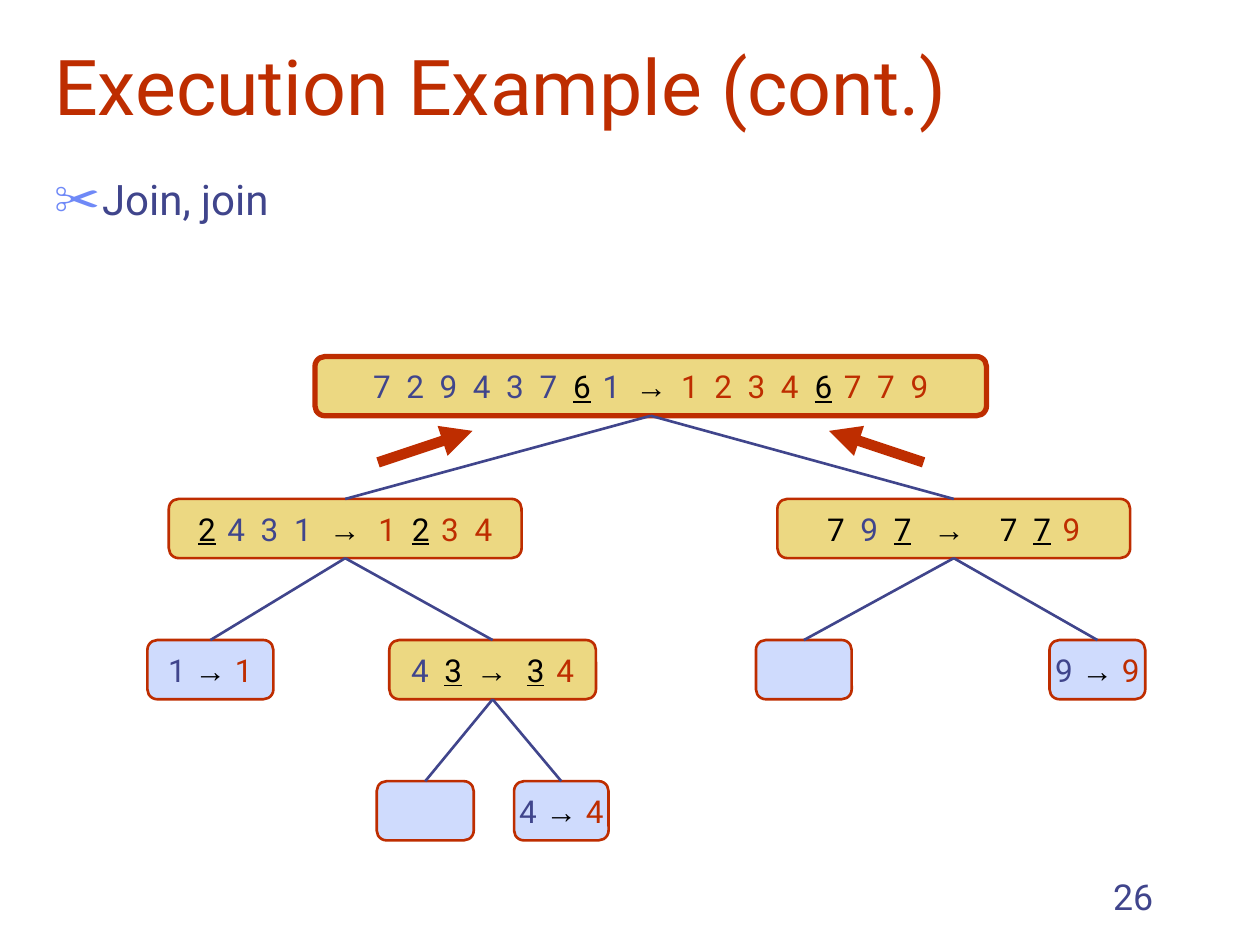
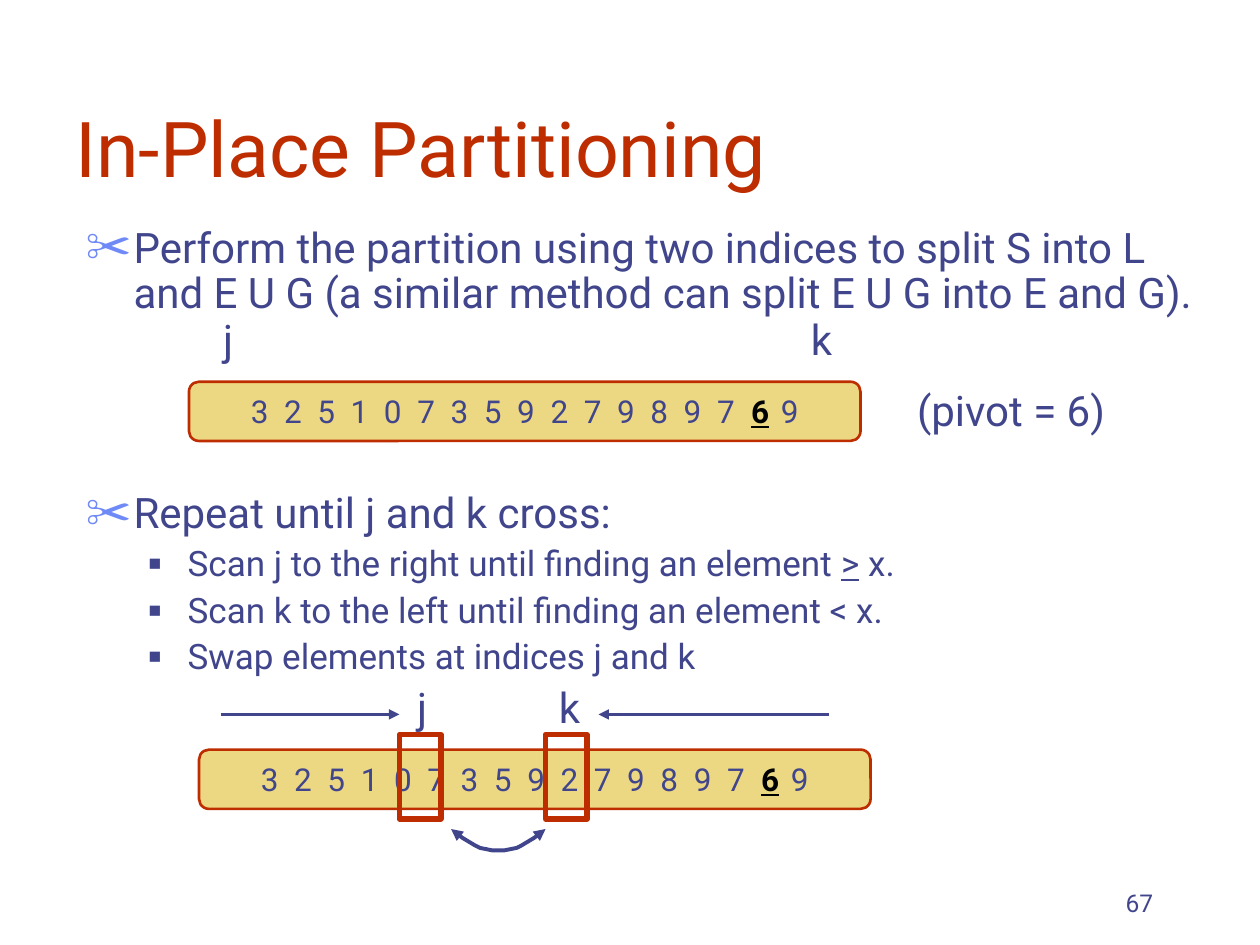
from dataclasses import dataclass

from lxml import etree
from pptx import Presentation
from pptx.dml.color import RGBColor
from pptx.enum.shapes import MSO_CONNECTOR, MSO_SHAPE
from pptx.enum.text import MSO_ANCHOR, MSO_AUTO_SIZE, PP_ALIGN
from pptx.oxml.ns import qn
from pptx.util import Pt

LINE = MSO_CONNECTOR.STRAIGHT
ROUND, RECT = MSO_SHAPE.ROUNDED_RECTANGLE, MSO_SHAPE.RECTANGLE
BOTTOM, MIDDLE = MSO_ANCHOR.BOTTOM, MSO_ANCHOR.MIDDLE
LEFT, CENTER, RIGHT = PP_ALIGN.LEFT, PP_ALIGN.CENTER, PP_ALIGN.RIGHT
FIXED = MSO_AUTO_SIZE.NONE
SCALE = 9144
TOP_SIDE, LOW_SIDE = 0, 2


@dataclass(frozen=True)
class Theme:
    font: str = "Roboto"
    symbol: str = "Arial"
    red: str = "BE2D00"
    ink: str = "40458C"
    black: str = "000000"
    gold: str = "ECD882"
    pale: str = "CFDBFD"
    mark: str = "6F89F7"
    title: float = 44
    body: float = 24
    sub: float = 20
    cell: float = 18
    gap: float = 2.23
    thin: float = 1.5
    curve: float = 2.25
    thick: float = 3
    heavy: float = 6


T = Theme()
STYLES = {
    "ink": (T.ink, False, False),
    "red": (T.red, False, False),
    "black": (T.black, False, False),
    "under": (T.black, False, True),
    "pivot": (T.black, True, True),
    "arrow": (T.black, True, False),
}
BULLETS = (
    ("✂", T.mark, 110, 38, -38, T.body, 6),
    ("■", T.ink, 60, 81, -31, T.sub, 5),
)
ROW_H = 47


def px(*nums):
    return [round(n * SCALE) for n in nums]


def rgb(code):
    return RGBColor.from_string(code)


def add_run(par, text, size, color=T.ink, bold=False, under=False, font=T.font):
    run = par.add_run()
    run.text = text
    run.font.size = Pt(size)
    run.font.name = font
    run.font.bold = bold
    run.font.underline = under
    run.font.color.rgb = rgb(color)
    return run


def add_cells(par, parts, join):
    for text, style in parts:
        color, bold, under = STYLES[style]
        arrow = style == "arrow"
        run = add_run(par, text, T.cell, color, bold, under,
                      T.symbol if arrow else T.font)
        gap = join if arrow else 0 if under or not join else T.gap
        if gap:
            run.font._element.set("spc", str(round(gap * 100)))


def add_label(slide, box, text, size=T.body, align=CENTER, anchor=MIDDLE):
    frame = slide.shapes.add_textbox(*px(*box)).text_frame
    frame.word_wrap = align != CENTER
    frame.vertical_anchor = anchor
    par = frame.paragraphs[0]
    par.alignment = align
    add_run(par, text, size)


def add_box(slide, kind, box, fill, width):
    shape = slide.shapes.add_shape(kind, *px(*box))
    shape.shadow.inherit = False
    if fill:
        shape.fill.solid()
        shape.fill.fore_color.rgb = rgb(fill)
    else:
        shape.fill.background()
    shape.line.color.rgb = rgb(T.red)
    shape.line.width = Pt(width)
    return shape


def add_node(slide, box, parts, join=0, fill=T.gold, width=T.thin):
    node = add_box(slide, ROUND, box, fill, width)
    node.adjustments[0] = 0.167
    frame = node.text_frame
    frame.word_wrap = False
    frame.vertical_anchor = MIDDLE
    par = frame.paragraphs[0]
    par.alignment = CENTER
    add_cells(par, parts, join)
    return node


def add_tips(line, *ends):
    ln = line.line._get_or_add_ln()
    for end in ends:
        etree.SubElement(ln, qn(f"a:{end}"), type="triangle")


def add_line(slide, ends, color=T.ink, width=T.thin):
    line = slide.shapes.add_connector(LINE, *px(*ends))
    line.line.color.rgb = rgb(color)
    line.line.width = Pt(width)
    etree.SubElement(line._element.spPr, qn("a:effectLst"))
    return line


def add_arrow(slide, ends, color=T.ink, width=T.thin):
    add_tips(add_line(slide, ends, color, width), "tailEnd")


def add_link(slide, child, parent):
    line = add_line(slide, (0, 0, 0, 0))
    line.begin_connect(child, TOP_SIDE)
    line.end_connect(parent, LOW_SIDE)


def add_swap(slide, box):
    x, y, w, h = box
    steps = 16
    spots = [(x + w * i / steps, y + h * (1 - (2 * i / steps - 1) ** 2))
             for i in range(steps + 1)]
    maker = slide.shapes.build_freeform(*spots[0], scale=SCALE)
    maker.add_line_segments(spots[1:], close=False)
    curve = maker.convert_to_shape()
    curve.shadow.inherit = False
    curve.fill.background()
    curve.line.color.rgb = rgb(T.ink)
    curve.line.width = Pt(T.curve)
    add_tips(curve, "headEnd", "tailEnd")


def place(holder, box):
    holder.left, holder.top, holder.width, holder.height = px(*box)
    frame = holder.text_frame
    frame.auto_size = FIXED
    frame.word_wrap = True
    return frame


def add_item(par, level, parts, before=None, spacing=1.0):
    char, color, pct, margin, indent, size, space = BULLETS[level]
    par.level = level
    ppr = par._p.get_or_add_pPr()
    left, hang = px(margin, indent)
    ppr.set("marL", str(left))
    ppr.set("indent", str(hang))
    tint = etree.SubElement(ppr, qn("a:buClr"))
    etree.SubElement(tint, qn("a:srgbClr"), val=color)
    etree.SubElement(ppr, qn("a:buSzPct"), val=str(pct * 1000))
    etree.SubElement(ppr, qn("a:buChar"), char=char)
    par.alignment = LEFT
    par.line_spacing = spacing
    par.space_before = Pt(space if before is None else before)
    for text, under in parts:
        add_run(par, text, size, under=under)


def add_page(deck, title, box, number, size):
    slide = deck.slides.add_slide(deck.slide_layouts[1])
    frame = place(slide.shapes.title, box)
    frame.vertical_anchor = BOTTOM
    par = frame.paragraphs[0]
    par.alignment = LEFT
    add_run(par, title, T.title, T.red)
    add_label(slide, (717, 683, 208, 50), number, size, RIGHT, BOTTOM)
    return slide


def add_list(slide, box, items, spacing=1.0):
    frame = place(slide.placeholders[1], box)
    for i, (level, parts, before) in enumerate(items):
        par = frame.add_paragraph() if i else frame.paragraphs[0]
        add_item(par, level, parts, before, spacing)


def leaf(digit):
    return [(digit, "ink"), (" → ", "arrow"), (digit, "red")]


def add_tree(slide, box):
    x, y, _, _ = box
    nodes = {
        "root": (133, 0, 533, 3, T.gold, [
            ("7 2 9 4 3 7 ", "ink"), ("6", "under"), (" 1", "ink"),
            (" → ", "arrow"), ("1 2 3 4 ", "red"), ("6", "under"),
            (" 7 7 9", "red")], 1.5),
        "left": (17, 113, 280, T.thin, T.gold, [
            ("2", "under"), (" 4 3 1", "ink"), (" → ", "arrow"),
            ("1 ", "red"), ("2", "under"), (" 3 4", "red")], 2.6),
        "right": (500, 113, 280, T.thin, T.gold, [
            ("7 ", "black"), ("9 ", "ink"), ("7", "under"),
            (" → ", "arrow"), ("7 ", "black"), ("7", "under"),
            (" 9", "red")], 7.5),
        "one": (0, 225, 100, T.thin, T.pale, leaf("1"), 0),
        "pair": (192, 225, 164, T.thin, T.gold, [
            ("4 ", "ink"), ("3", "under"), (" → ", "arrow"),
            ("3", "under"), (" 4", "red")], 3),
        "blank": (483, 225, 76, T.thin, T.pale, [], 0),
        "nine": (716, 225, 76, T.thin, T.pale, leaf("9"), 0),
        "void": (182, 337, 77, T.thin, T.pale, [], 0),
        "four": (291, 337, 75, T.thin, T.pale, leaf("4"), 0),
    }
    made = {}
    for name, (dx, dy, w, width, fill, parts, join) in nodes.items():
        made[name] = add_node(slide, (x + dx, y + dy, w, ROW_H),
                              parts, join, fill, width)
    kids = {"root": ("left", "right"), "left": ("one", "pair"),
            "right": ("blank", "nine"), "pair": ("void", "four")}
    for top, names in kids.items():
        for name in names:
            add_link(slide, made[name], made[top])
    for tail, tip in ((183, 258), (616, 541)):
        add_arrow(slide, (x + tail, y + 84, x + tip, y + 59), T.red, T.heavy)


def add_strip(slide, box, j, k):
    x, y, _, _ = box
    add_node(slide, box, [("3 2 5 1 0 7 3 5 9 2 7 9 8 9 7 ", "ink"),
                          ("6", "pivot"), (" 9", "ink")], T.gap)
    add_label(slide, (x + j, y - 59, 28, 50), "j")
    add_label(slide, (x + k, y - 59, 38, 50), "k")


def add_scan(slide, box):
    x, y, _, _ = box
    add_strip(slide, box, 163, 275)
    for tail, tip in ((17, 159), (500, 317)):
        add_arrow(slide, (x + tail, y - 28, x + tip, y - 28))
    for dx in (159, 275):
        add_box(slide, RECT, (x + dx, y - 12, 33, 67), None, T.thick)
    add_swap(slide, (x + 200, y + 63, 75, 17))


def add_joins(deck):
    slide = add_page(deck, "Execution Example (cont.)",
                     (33, 17, 950, 92), "26", 20.4)
    add_list(slide, (33, 133, 950, 525), [(0, [("Join, join", False)], 0)])
    add_tree(slide, (117, 283, 792, 384))


def add_split(deck):
    slide = add_page(deck, "In-Place Partitioning",
                     (50, 33, 850, 125), "67", 14)
    add_list(slide, (58, 175, 917, 525), [
        (0, [("Perform the partition using two indices to split S into L "
              "and E U G (a similar method can split E U G into E and G).",
              False)], 0),
        (0, [("Repeat until j and k cross:", False)], 100),
        (1, [("Scan j to the right until finding an element ", False),
             (">", True), (" x.", False)], None),
        (1, [("Scan k to the left until finding an element < x.", False)],
         None),
        (1, [("Swap elements at indices j and k", False)], None),
    ], 0.9)
    add_strip(slide, (150, 303, 533, ROW_H), 17, 483)
    add_label(slide, (716, 300, 173, 50), "(pivot = 6)")
    add_scan(slide, (158, 595, 533, ROW_H))


def main():
    deck = Presentation()
    deck.slide_width, deck.slide_height = px(1000, 750)
    add_joins(deck)
    add_split(deck)
    deck.save("out.pptx")


if __name__ == "__main__":
    main()
